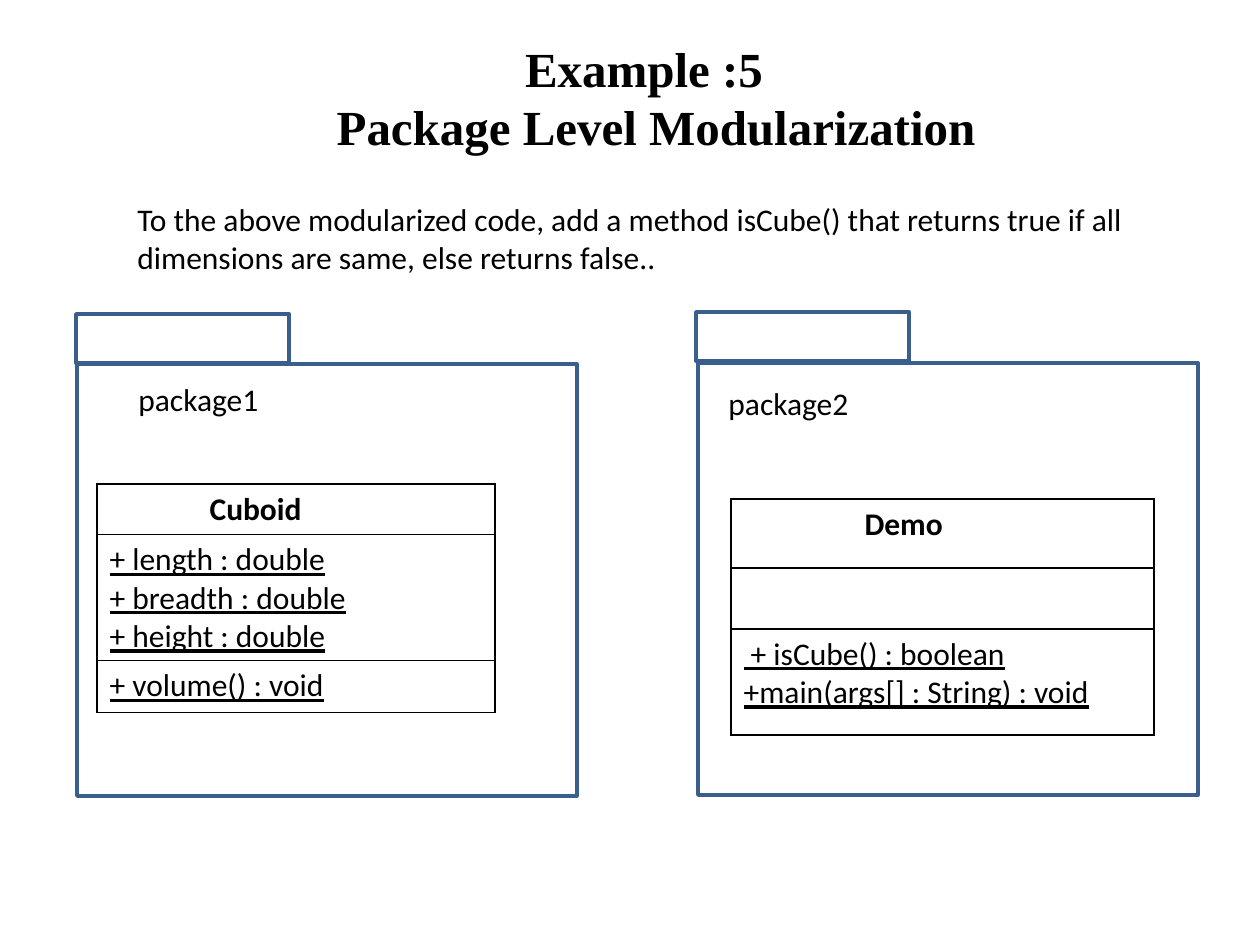
from dataclasses import dataclass

import pptx
import pptx.dml.color
import pptx.enum.shapes
import pptx.enum.text
import pptx.oxml
import pptx.oxml.ns
import pptx.util

Box = tuple[int, int, int, int]


@dataclass(frozen=True)
class Theme:
    ink: str = "000000"
    edge: str = "3A5F8C"
    head: str = "Times New Roman"
    body: str = "Calibri"
    big: int = 28
    text: int = 18
    line: int = 2
    rule: int = 1


@dataclass(frozen=True)
class Row:
    high: int
    lines: tuple[str, ...] = ()
    title: bool = False


@dataclass(frozen=True)
class Grid:
    left: int
    top: int
    wide: int
    indent: int
    rows: tuple[Row, ...]


@dataclass(frozen=True)
class Pack:
    name: str
    label: Box
    tab: Box
    frame: Box
    grid: Grid


THEME = Theme()
PACKS = (
    Pack("package1", (126, 374, 184, 63), (76, 314, 213, 49), (77, 364, 500, 432),
         Grid(97, 484, 398, 100, (
             Row(50, ("Cuboid",), True),
             Row(126, ("+ length : double", "+ breadth : double", "+ height : double")),
             Row(52, ("+ volume() : void",))))),
    Pack("package2", (716, 378, 184, 63), (696, 312, 213, 49), (698, 363, 500, 432),
         Grid(731, 499, 423, 121, (
             Row(69, ("Demo",), True),
             Row(61),
             Row(106, (" + isCube() : boolean", "+main(args[] : String) : void"))))),
)


def px(n: int) -> int:
    return round(n * 914400 / 126)


def rgb(code: str) -> pptx.dml.color.RGBColor:
    return pptx.dml.color.RGBColor.from_string(code)


def write(frame, lines: tuple[str, ...], face: str, size: int, bold=False, under=False) -> None:
    frame.text = "\n".join(lines)
    for para in frame.paragraphs:
        font = para.font
        font.name, font.size = face, pptx.util.Pt(size)
        font.bold, font.underline = bold, under
        font.color.rgb = rgb(THEME.ink)


def indent(para, n: int) -> None:
    para._p.get_or_add_pPr().set("marL", str(px(n)))


def add_text(slide, box: Box):
    frame = slide.shapes.add_textbox(*map(px, box)).text_frame
    frame.word_wrap = True
    return frame


def add_title(slide) -> None:
    frame = add_text(slide, (137, 29, 1014, 136))
    frame.vertical_anchor = pptx.enum.text.MSO_ANCHOR.MIDDLE
    write(frame, ("Example :5", "Package Level Modularization"), THEME.head, THEME.big, bold=True)
    for para in frame.paragraphs:
        para.alignment = pptx.enum.text.PP_ALIGN.CENTER
    indent(frame.paragraphs[1], 24)


def add_rect(slide, box: Box) -> None:
    rect = slide.shapes.add_shape(pptx.enum.shapes.MSO_SHAPE.RECTANGLE, *map(px, box))
    rect.shadow.inherit = False
    rect.fill.background()
    rect.line.color.rgb = rgb(THEME.edge)
    rect.line.width = pptx.util.Pt(THEME.line)


def border(cell) -> None:
    props = cell._tc.get_or_add_tcPr()
    for i, side in enumerate("LRTB"):
        props.insert(i, pptx.oxml.parse_xml(
            f'<a:ln{side} {pptx.oxml.ns.nsdecls("a")} w="{pptx.util.Pt(THEME.rule)}">'
            f'<a:solidFill><a:srgbClr val="{THEME.ink}"/></a:solidFill></a:ln{side}>'))


def add_grid(slide, grid: Grid) -> None:
    high = sum(row.high for row in grid.rows)
    box = (grid.left, grid.top, grid.wide, high)
    table = slide.shapes.add_table(len(grid.rows), 1, *map(px, box)).table
    table.first_row = table.horz_banding = False
    for i, row in enumerate(grid.rows):
        table.rows[i].height = px(row.high)
        cell = table.cell(i, 0)
        cell.fill.background()
        border(cell)
        write(cell.text_frame, row.lines, THEME.body, THEME.text,
              bold=row.title, under=not row.title)
        if row.title:
            indent(cell.text_frame.paragraphs[0], grid.indent)


def add_pack(slide, pack: Pack) -> None:
    add_grid(slide, pack.grid)
    add_rect(slide, pack.frame)
    add_rect(slide, pack.tab)
    write(add_text(slide, pack.label), (pack.name,), THEME.body, THEME.text)


def main() -> None:
    deck = pptx.Presentation()
    deck.slide_width, deck.slide_height = px(1260), px(945)
    slide = deck.slides.add_slide(deck.slide_layouts[6])
    add_title(slide)
    task = ("To the above modularized code, add a method isCube() that returns true "
            "if all dimensions are same, else returns false..")
    write(add_text(slide, (125, 194, 1042, 115)), (task,), THEME.body, THEME.text)
    for pack in PACKS:
        add_pack(slide, pack)
    deck.save("out.pptx")


if __name__ == "__main__":
    main()
